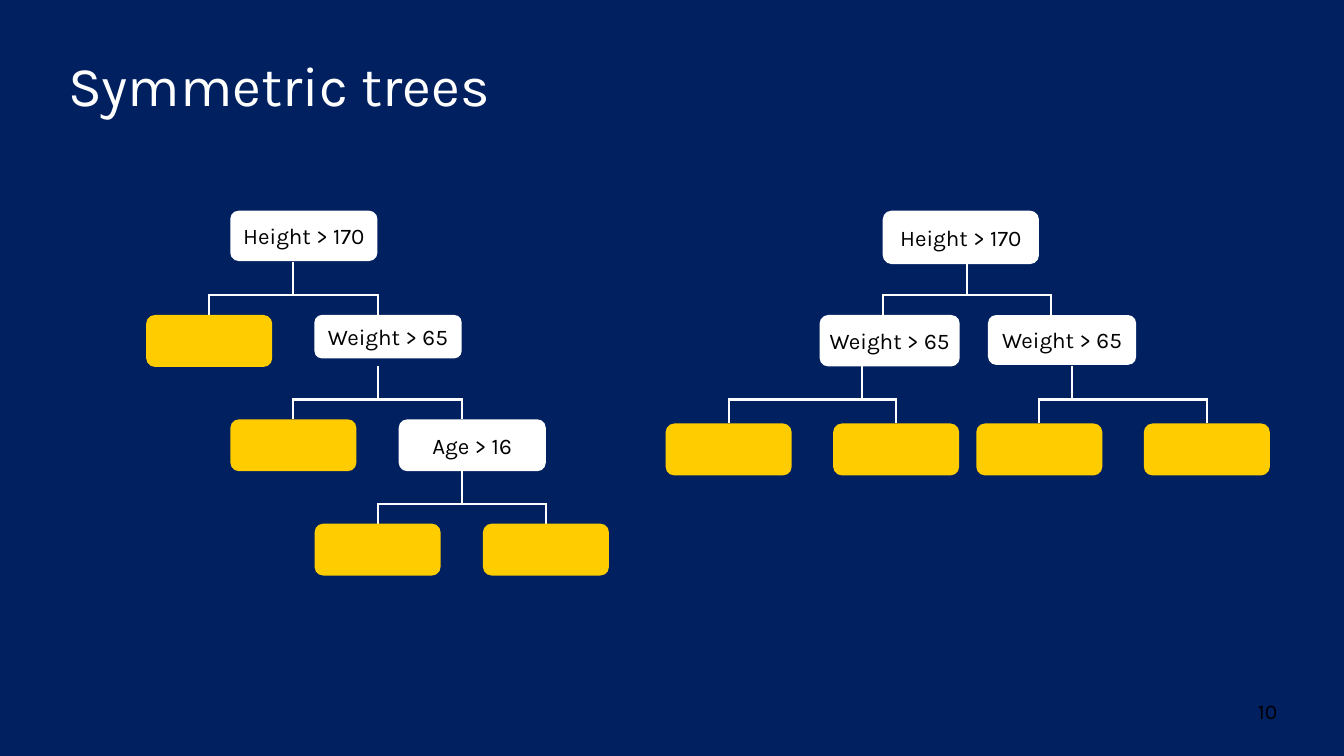
from dataclasses import dataclass

from lxml import etree
from pptx import Presentation
from pptx.dml.color import RGBColor
from pptx.enum.shapes import MSO_CONNECTOR, MSO_SHAPE
from pptx.enum.text import MSO_ANCHOR, PP_ALIGN
from pptx.oxml.ns import qn
from pptx.util import Inches, Pt

RECT, ROUND = MSO_SHAPE.RECTANGLE, MSO_SHAPE.ROUNDED_RECTANGLE
LINE = MSO_CONNECTOR.STRAIGHT
MID = MSO_ANCHOR.MIDDLE
LEFT, MIDST, RIGHT = PP_ALIGN.LEFT, PP_ALIGN.CENTER, PP_ALIGN.RIGHT

HUES = {"navy": "002060", "white": "FFFFFF", "gold": "FFCC00", "black": "000000"}
FONT = "Karla"
WIDE, HIGH = 26.66, 15

# Tree grid: column 0 is the leftmost leaf's centre, row 0 the roots' top
COL, ROW = 1.67, 2.07
X0, Y0 = 4.15, 4.18
LEAF_W, LEAF_H = 2.5, 1.03


@dataclass
class Node:
    """A question: left and top in grid units, size in inches."""
    text: str
    col: float
    row: float
    w: float
    h: float


@dataclass
class Fork:
    """A split: stem, first and last branch in columns; leaves by side."""
    stem: float
    row: float
    first: float
    last: float
    drop: float = 1
    leaves: str = "LR"


NODES = [
    # Uneven tree
    Node("Height > 170", 0.25, 0, 2.92, 1),
    Node("Weight > 65", 1.25, 1, 2.92, 0.86),
    Node("Age > 16", 2.25, 2, 2.92, 1.03),
    # Symmetric tree
    Node("Height > 170", 8, 0, 3.1, 1.06),
    Node("Weight > 65", 7.25, 1, 2.78, 1.02),
    Node("Weight > 65", 9.25, 1, 2.94, 0.99),
]
FORKS = [
    Fork(1, 0, 0, 2, leaves="L"),
    Fork(2, 1, 1, 3, leaves="L"),
    Fork(3, 2, 2, 4),
    Fork(9, 0, 8, 10, leaves=""),
    Fork(7.75, 1, 6.17, 8.16, 1.04),
    Fork(10.25, 1, 9.86, 11.85, 1.04),
]


def hue(name: str) -> RGBColor:
    return RGBColor.from_string(HUES[name])


def grid(col: float, row: float) -> tuple:
    return Inches(X0 + col * COL), Inches(Y0 + row * ROW)


def block(slide, kind, x: int, y: int, w: int, h: int, fill: str):
    shape = slide.shapes.add_shape(kind, x, y, w, h)
    shape.shadow.inherit = False
    shape.fill.solid()
    shape.fill.fore_color.rgb = hue(fill)
    shape.line.fill.background()
    return shape


def write(shape, text: str, size: float, tint: str, align):
    frame = shape.text_frame
    frame.word_wrap = True
    frame.vertical_anchor = MID
    para = frame.paragraphs[0]
    para.alignment = align
    run = para.add_run()
    run.text = text
    run.font.name = FONT
    run.font.size = Pt(size)
    run.font.color.rgb = hue(tint)
    return para


def label(slide, text: str, x: float, y: float, w: float, h: float,
          size: float, tint: str, align):
    """Text box placed by shares of the slide."""
    box = slide.shapes.add_textbox(Inches(x * WIDE), Inches(y * HIGH),
                                   Inches(w * WIDE), Inches(h * HIGH))
    return write(box, text, size, tint, align)


def link(slide, start: tuple, end: tuple):
    line = slide.shapes.add_connector(LINE, *start, *end)
    line.line.color.rgb = hue("white")
    line.line.width = Pt(3)
    props = line._element.find(qn("p:spPr"))
    etree.SubElement(props, qn("a:effectLst"))
    return line


def draw_fork(slide, fork: Fork) -> None:
    bar = fork.row + 0.81
    link(slide, grid(fork.stem, fork.row + 0.49), grid(fork.stem, bar))
    link(slide, grid(fork.last, bar), grid(fork.first, bar))
    foot = fork.row + fork.drop
    for side, col in (("L", fork.first), ("R", fork.last)):
        line = link(slide, grid(col, bar - 0.01), grid(col, foot))
        if side in fork.leaves:
            x, y = grid(col, foot)
            leaf = block(slide, ROUND, x - Inches(LEAF_W / 2), y,
                         Inches(LEAF_W), Inches(LEAF_H), "gold")
            line.end_connect(leaf, 0)


def draw_node(slide, node: Node) -> None:
    shape = block(slide, ROUND, *grid(node.col, node.row),
                  Inches(node.w), Inches(node.h), "white")
    write(shape, node.text, 32, "black", MIDST)


def main() -> None:
    deck = Presentation()
    deck.slide_width, deck.slide_height = Inches(WIDE), Inches(HIGH)
    slide = deck.slides.add_slide(deck.slide_layouts[6])

    # Backdrop and title
    block(slide, RECT, 0, 0, deck.slide_width, deck.slide_height, "navy")
    title = label(slide, "Symmetric trees", 0.047, 0.055, 0.91, 0.11,
                  80, "white", LEFT)
    title.line_spacing = Pt(100)

    # Both trees
    for node in NODES:
        draw_node(slide, node)
    for fork in FORKS:
        draw_fork(slide, fork)

    # Page number
    label(slide, "10", 0.9, 0.915, 0.054, 0.05, 30, "black", RIGHT)
    deck.save("out.pptx")


if __name__ == "__main__":
    main()
